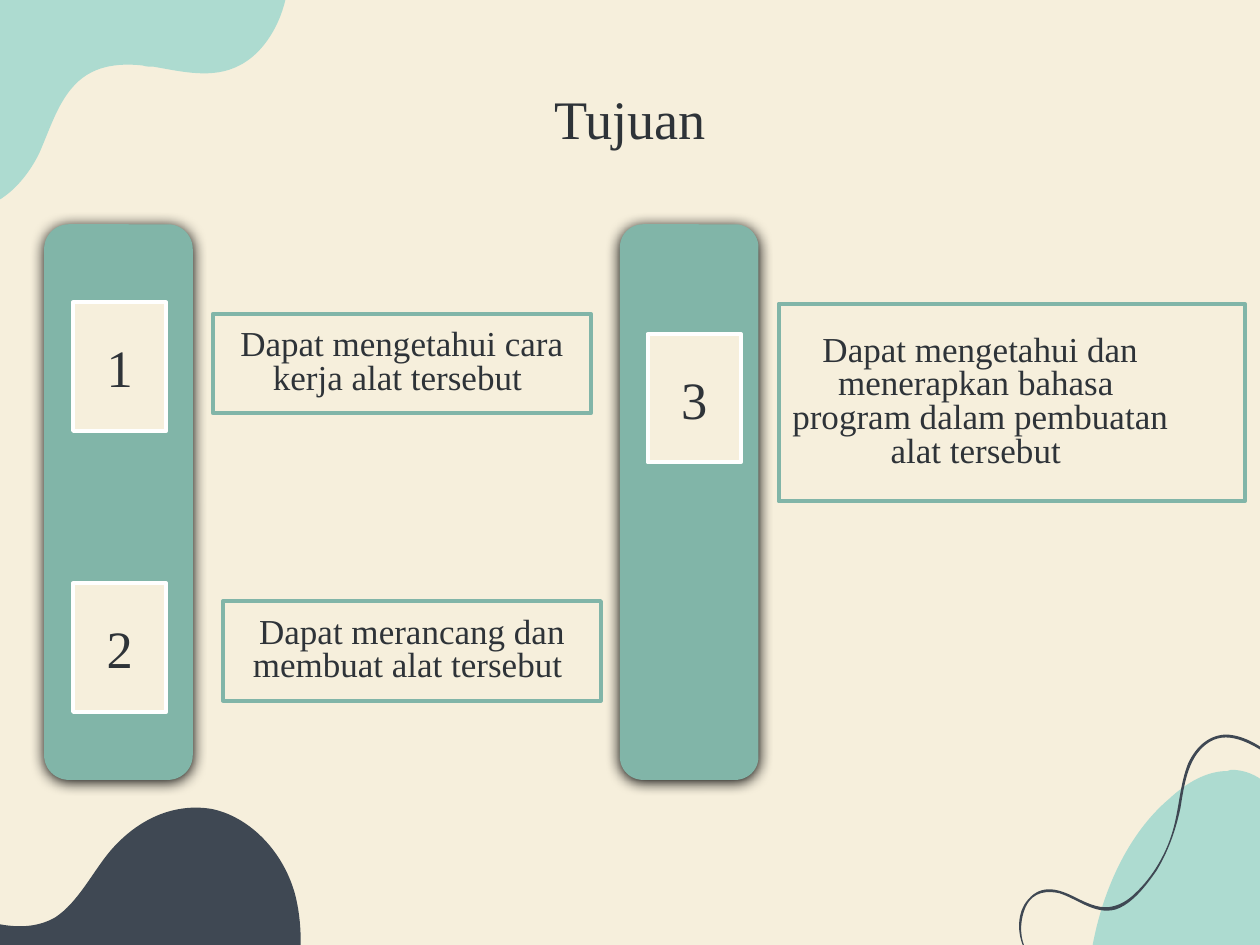
import pptx
import pptx.dml.color
import pptx.enum.shapes
import pptx.enum.text
import pptx.oxml
import pptx.oxml.ns
import pptx.util
import lxml.etree

PX = 9144  # EMU in one px, 100 px to the inch
FONT = "Times New Roman"
CREAM, MINT, TEAL = "F6EFDC", "ADDBD0", "81B5A8"
NAVY, INK, WHITE = "3F4853", "2E3338", "FFFFFF"
TOP = pptx.enum.text.MSO_ANCHOR.TOP
MIDDLE = pptx.enum.text.MSO_ANCHOR.MIDDLE

# Outlines: a start point, then curves (six numbers) and lines (two numbers)
MINT_HILL = [
    (977, 611), (976, 611, 975, 611, 974, 612), (958, 612, 942, 621, 928, 634),
    (896, 661, 874, 707, 866, 757), (1011, 757), (1022, 739, 1030, 719, 1031, 699),
    (1034, 654, 1012, 611, 977, 611)]
NAVY_HILL = [
    (234, 709), (224, 674, 197, 648, 168, 642), (138, 637, 109, 650, 87, 676),
    (73, 693, 62, 716, 44, 728), (18, 743, -13, 731, -40, 722),
    (-54, 717, -70, 713, -84, 713), (-84, 783), (235, 783),
    (240, 757, 240, 732, 234, 709)]
MINT_CORNER = [
    (229, -28), (228, -38, 226, -49, 222, -57), (190, -117, 128, -43, 91, -88),
    (74, -110, 69, -124, 41, -112), (18, -103, -1, -77, -5, -45),
    (-7, -29, -5, -12, -6, 5), (-6, 15, -7, 25, -11, 33),
    (-23, 60, -51, 65, -63, 91), (-75, 120, -56, 160, -32, 165),
    (-7, 170, 17, 150, 31, 122), (39, 104, 45, 84, 57, 70),
    (72, 52, 93, 50, 113, 52), (116, 53, 119, 53, 122, 53),
    (145, 57, 169, 63, 190, 52), (214, 40, 231, 6, 229, -28)]
NAVY_WAVE = [
    (1016, 604), (1002, 593, 989, 584, 974, 583), (961, 583, 950, 591, 943, 606),
    (937, 621, 936, 639, 932, 655), (927, 676, 915, 696, 901, 709),
    (895, 715, 888, 719, 880, 720), (871, 721, 861, 716, 853, 712),
    (841, 706, 827, 701, 816, 714), (807, 724, 807, 741, 813, 753),
    (816, 761, 821, 766, 825, 772), (831, 780, 836, 789, 839, 800),
    (842, 815, 842, 831, 839, 846), (838, 847, 840, 848, 840, 846),
    (844, 830, 844, 811, 839, 795), (836, 787, 833, 780, 829, 774),
    (823, 766, 817, 759, 813, 751), (809, 741, 810, 729, 814, 720),
    (820, 707, 832, 707, 841, 709), (856, 714, 869, 726, 885, 722),
    (898, 718, 909, 704, 918, 691), (927, 676, 933, 660, 937, 641),
    (940, 622, 943, 602, 957, 591), (973, 578, 993, 590, 1008, 600),
    (1010, 602, 1012, 604, 1015, 606), (1016, 606, 1017, 604, 1016, 604)]


def emu(*lengths):
    return [round(length * PX) for length in lengths]


def rgb(value):
    return pptx.dml.color.RGBColor.from_string(value)


def paint(shape, color):
    shape.shadow.inherit = False
    shape.fill.solid()
    shape.fill.fore_color.rgb = rgb(color)
    shape.line.fill.background()


def add_blob(slide, outline, color):
    """A freeform through the outline's end points, its sides bent into curves."""
    first, *rest = [tuple(emu(*segment[-2:])) for segment in outline]
    builder = slide.shapes.build_freeform(*first, scale=1.0)
    builder.add_line_segments(rest, close=True)
    blob = builder.convert_to_shape()
    qn = pptx.oxml.ns.qn
    sides = list(blob._element.spPr.iter(qn("a:lnTo")))
    for side, segment in zip(sides, outline[1:]):
        if len(segment) == 2:
            continue
        curve = lxml.etree.Element(qn("a:cubicBezTo"))
        for x, y in zip(emu(*segment[::2]), emu(*segment[1::2])):
            lxml.etree.SubElement(curve, qn("a:pt"),
                                  x=str(x - blob.left), y=str(y - blob.top))
        side.getparent().replace(side, curve)
    paint(blob, color)


def write(shape, text, size, spacing=1.0, anchor=MIDDLE):
    frame = shape.text_frame
    frame.word_wrap = True
    frame.auto_size = pptx.enum.text.MSO_AUTO_SIZE.NONE
    frame.vertical_anchor = anchor
    frame.margin_left = frame.margin_right = frame.margin_top = frame.margin_bottom = 0
    frame.text = text
    paragraph = frame.paragraphs[0]
    paragraph.alignment = pptx.enum.text.PP_ALIGN.CENTER
    paragraph.line_spacing = spacing
    for run in paragraph.runs:
        run.font.name = FONT
        run.font.size = pptx.util.Pt(size)
        run.font.color.rgb = rgb(INK)


def add_title(slide, box, text):
    title = slide.shapes.title
    title.left, title.top, title.width, title.height = emu(*box)
    write(title, text, 31, anchor=TOP)


def add_frame(slide, box, border, text, size, spacing=1.0):
    frame = slide.shapes.add_textbox(*emu(*box))
    frame.line.color.rgb = rgb(border)
    frame.line.width = pptx.util.Pt(2.25)
    write(frame, text, size, spacing)
    return frame


def add_bar(slide, box):
    bar = slide.shapes.add_shape(
        pptx.enum.shapes.MSO_SHAPE.ROUNDED_RECTANGLE, *emu(*box))
    paint(bar, TEAL)
    effects = bar._element.spPr.find(pptx.oxml.ns.qn("a:effectLst"))
    effects.append(pptx.oxml.parse_xml(
        f'<a:outerShdw {pptx.oxml.ns.nsdecls("a")} blurRad="107950" dist="12700" '
        'dir="5400000" rotWithShape="0"><a:srgbClr val="000000"/></a:outerShdw>'))


def add_column(slide, box, goals):
    """A bar with number tiles on it and a framed goal beside each tile."""
    left, top, width, height = box
    add_bar(slide, box)
    for number, (tile_x, tile_y), (x, y, w, h), text, right_inset in goals:
        goal = add_frame(slide, (left + x, top + y, w, h), TEAL, text, 20, 0.8)
        goal.text_frame.margin_right = emu(right_inset)[0]
        tile = add_frame(slide, (left + tile_x, top + tile_y, 74, 102), WHITE, number, 30)
        tile.fill.solid()
        tile.fill.fore_color.rgb = rgb(CREAM)


def main():
    presentation = pptx.Presentation()
    presentation.slide_width, presentation.slide_height = emu(1000, 750)
    slide = presentation.slides.add_slide(presentation.slide_layouts[5])
    slide.background.fill.solid()
    slide.background.fill.fore_color.rgb = rgb(CREAM)

    # Corner decorations
    for outline, color in ((MINT_HILL, MINT), (NAVY_HILL, NAVY),
                           (MINT_CORNER, MINT), (NAVY_WAVE, NAVY)):
        add_blob(slide, outline, color)

    add_title(slide, (78, 68, 844, 66), "Tujuan")

    # Goals: number, tile offset, frame offset and size, text, right inset
    add_column(slide, (492, 178, 110, 441), [
        ("3", (22, 87), (126, 63, 370, 157),
         "Dapat mengetahui dan menerapkan bahasa \vprogram dalam pembuatan alat tersebut ", 50)])
    add_column(slide, (35, 178, 118, 441), [
        ("1", (23, 62), (134, 71, 300, 79), "Dapat mengetahui cara kerja alat tersebut ", 0),
        ("2", (23, 285), (142, 299, 300, 79), "Dapat merancang dan membuat alat tersebut ", 0)])

    presentation.save("out.pptx")


if __name__ == "__main__":
    main()
